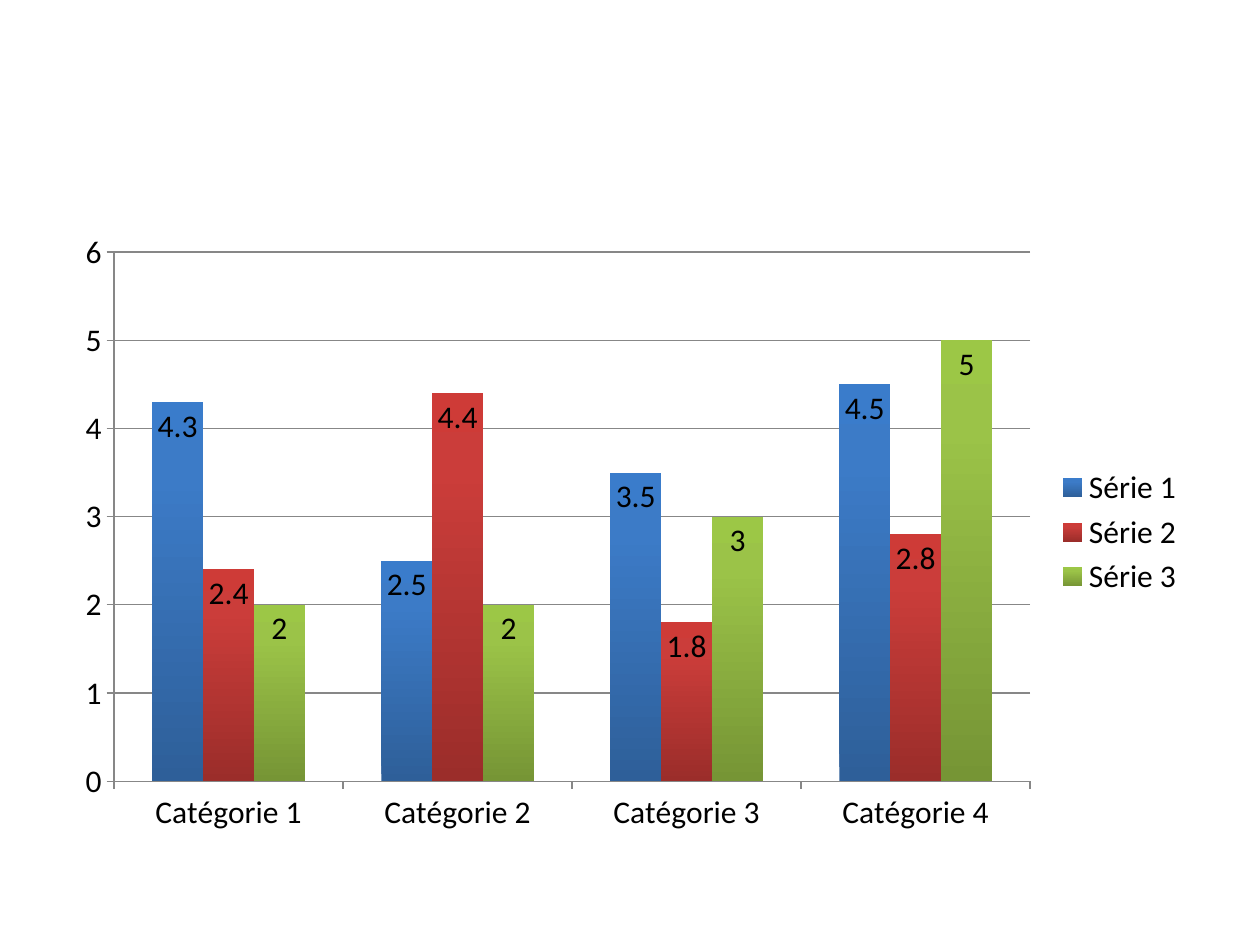
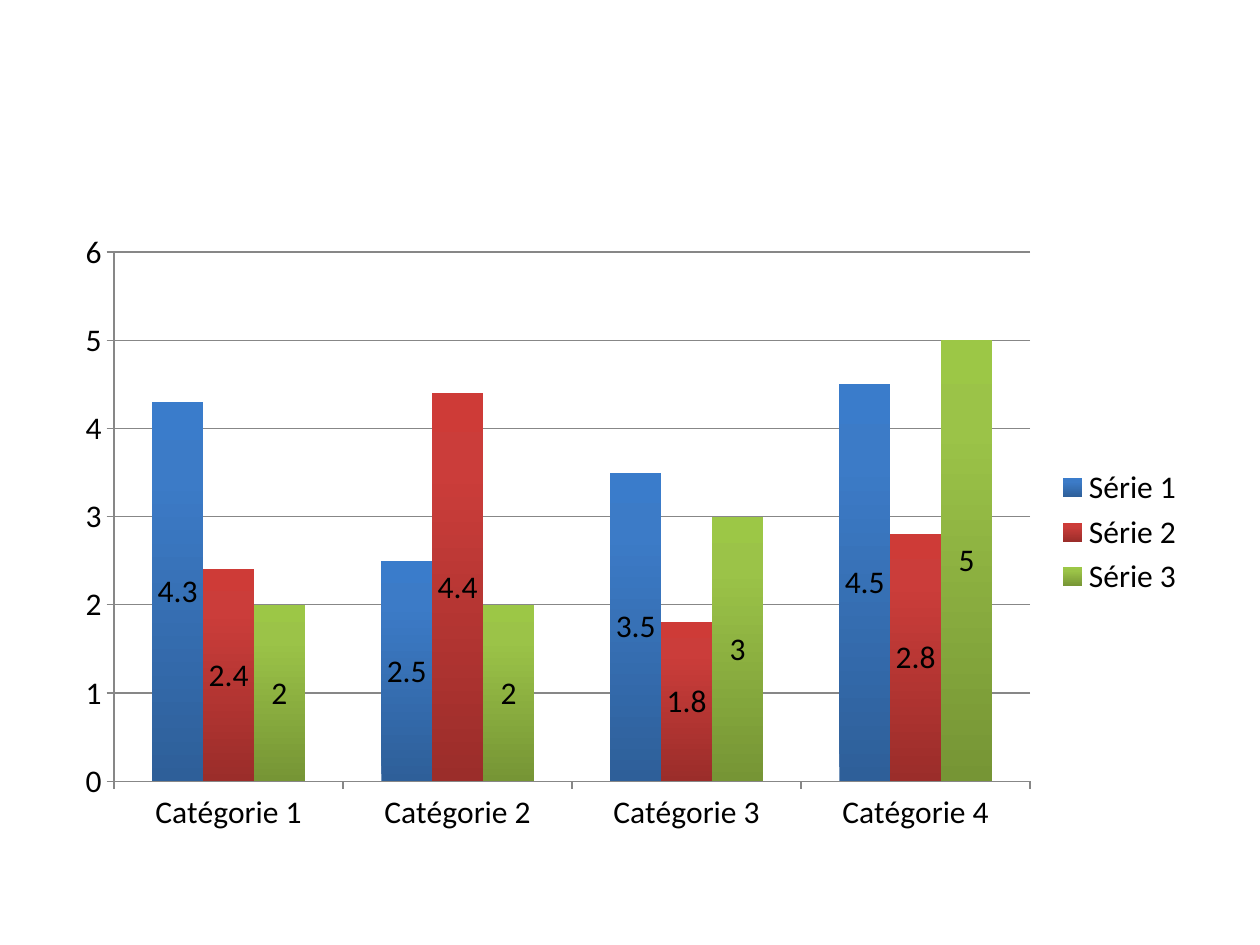
from copy import deepcopy
from dataclasses import dataclass

from pptx import Presentation
from pptx.chart.data import CategoryChartData
from pptx.dml.color import RGBColor
from pptx.enum.chart import (XL_CHART_TYPE, XL_LABEL_POSITION,
                             XL_LEGEND_POSITION, XL_TICK_MARK)
from pptx.util import Inches, Pt

COLUMNS = XL_CHART_TYPE.COLUMN_CLUSTERED
RIGHT = XL_LEGEND_POSITION.RIGHT
INSIDE = XL_LABEL_POSITION.INSIDE_END
CENTER = XL_LABEL_POSITION.CENTER
OUT = XL_TICK_MARK.OUTSIDE
NONE = XL_TICK_MARK.NONE


@dataclass(frozen=True)
class Theme:
    face: str = "Calibri"
    size: int = 18
    ink: str = "000000"
    paper: str = "FFFFFF"
    rule: str = "878787"
    width: float = 0.75
    fades: tuple = (("2E5F99", "3C7BC7", "3A7CCB"),
                    ("9B2D2A", "CB3D3A", "CE3B37"),
                    ("769535", "9BC348", "9CC746"))
    stops: tuple = (0, 0.8, 1)


CATS = [f"Catégorie {n}" for n in range(1, 5)]
SERIES = {
    "Série 1": (4.3, 2.5, 3.5, 4.5),
    "Série 2": (2.4, 4.4, 1.8, 2.8),
    "Série 3": (2, 2, 3, 5),
}


def color(code):
    return RGBColor.from_string(code)


class Deck:
    def __init__(self, theme):
        self.theme = theme
        self.prs = Presentation()
        self.prs.slide_width = Inches(10)
        self.prs.slide_height = Inches(7.5)
        self.slide = None

    def add_slide(self):
        self.slide = self.prs.slides.add_slide(self.prs.slide_layouts[6])
        fill = self.slide.background.fill
        fill.solid()
        fill.fore_color.rgb = color(self.theme.paper)

    def style_font(self, font):
        font.name = self.theme.face
        font.size = Pt(self.theme.size)
        font.color.rgb = color(self.theme.ink)

    def style_line(self, line):
        line.color.rgb = color(self.theme.rule)
        line.width = Pt(self.theme.width)

    def fade(self, series, codes):
        fill = series.format.fill
        fill.gradient()
        fill.gradient_angle = 90
        stops = series._element.xpath(".//a:gsLst")[0]
        stops.append(deepcopy(stops[-1]))
        for stop, code, place in zip(fill.gradient_stops, codes, self.theme.stops):
            stop.color.rgb = color(code)
            stop.position = place

    def add_labels(self, series, place):
        labels = series.data_labels
        labels.show_value = True
        labels.position = place
        self.style_font(labels.font)

    def add_columns(self, cats, rows, place):
        data = CategoryChartData()
        data.categories = cats
        for name, values in rows.items():
            data.add_series(name, values)
        chart = self.slide.shapes.add_chart(
            COLUMNS, Inches(0.5), Inches(1.75), Inches(9), Inches(4.95), data).chart
        chart.has_title = False
        self.style_font(chart.font)
        chart.has_legend = True
        chart.legend.position = RIGHT
        chart.legend.include_in_layout = False
        for axis in (chart.category_axis, chart.value_axis):
            axis.major_tick_mark = OUT
            axis.minor_tick_mark = NONE
            self.style_line(axis.format.line)
        chart.value_axis.has_major_gridlines = True
        self.style_line(chart.value_axis.major_gridlines.format.line)
        plot = chart.plots[0]
        plot.gap_width = 150
        plot.vary_by_categories = False
        for series, codes in zip(plot.series, self.theme.fades):
            self.fade(series, codes)
            self.add_labels(series, place)


def main():
    deck = Deck(Theme())
    for place in (INSIDE, CENTER):
        deck.add_slide()
        deck.add_columns(CATS, SERIES, place)
    deck.prs.save("out.pptx")


if __name__ == "__main__":
    main()
